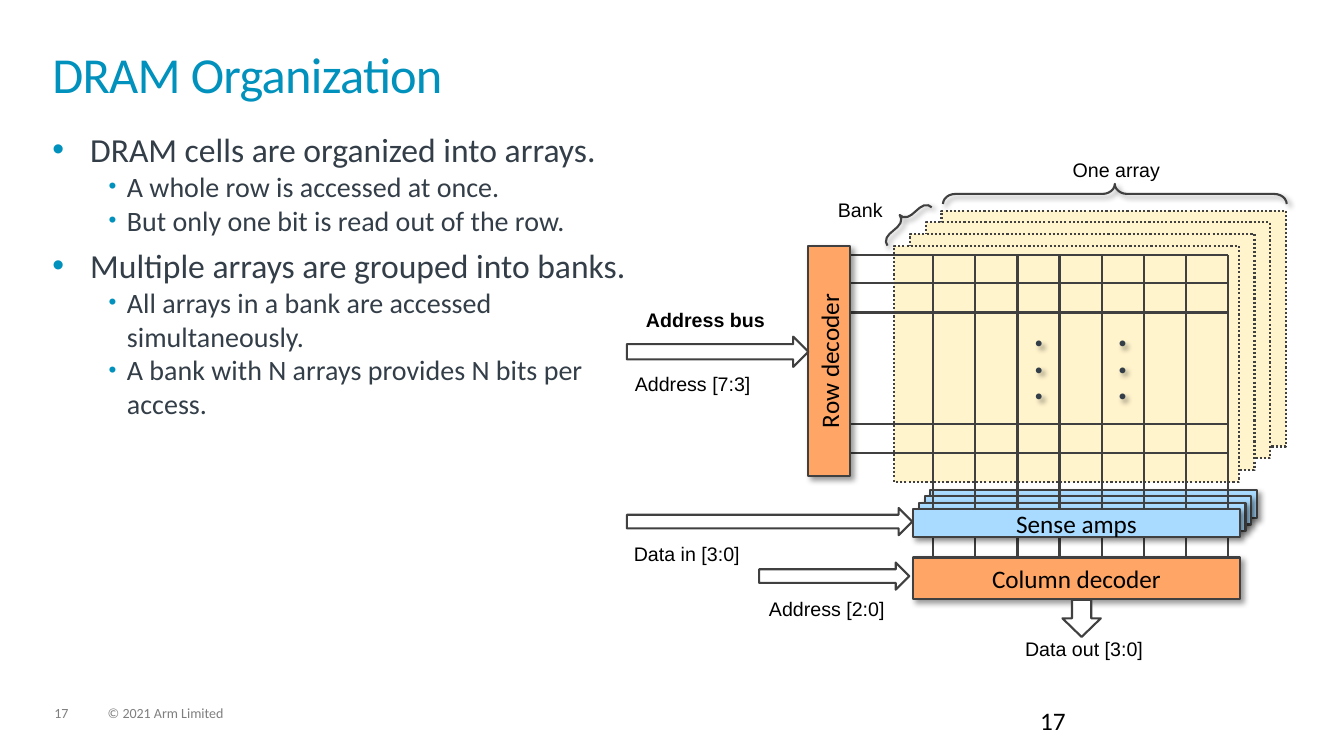
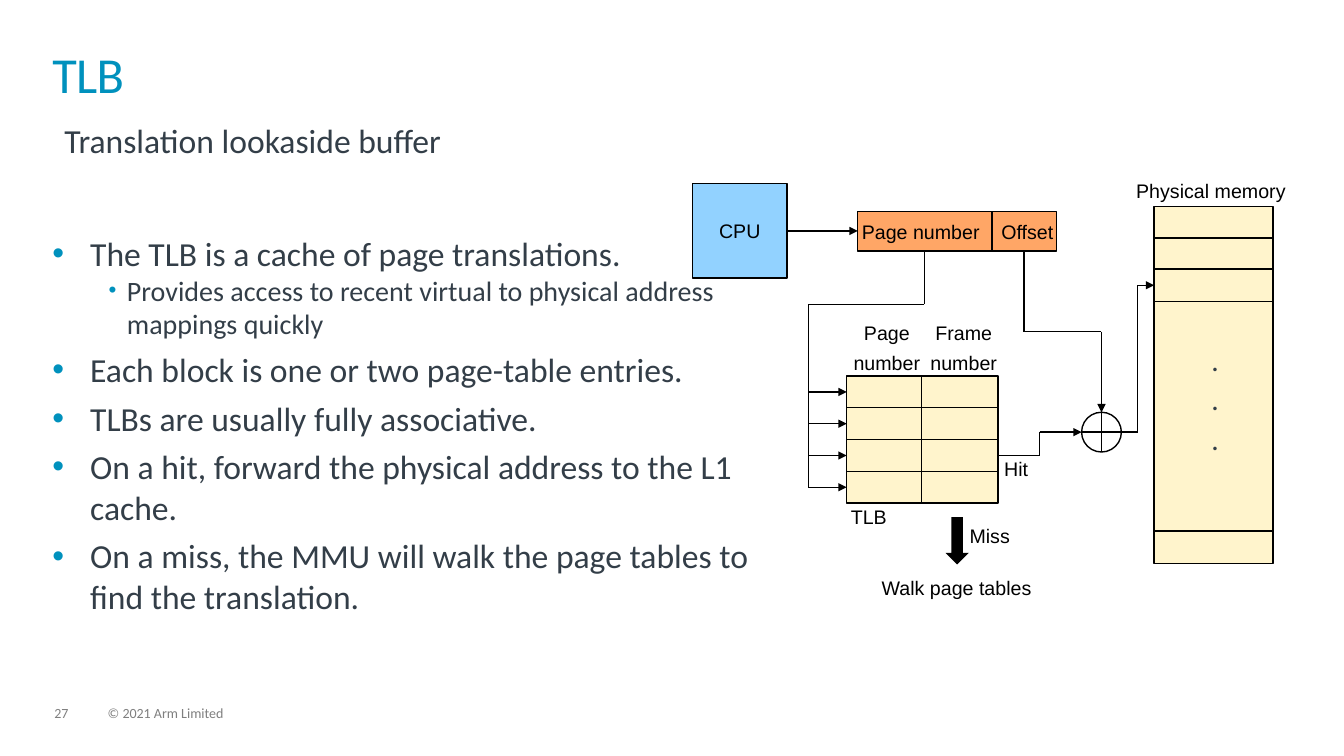
from typing import NamedTuple, Optional

from lxml.etree import SubElement
from pptx import Presentation
from pptx.dml.color import RGBColor
from pptx.enum.dml import MSO_LINE
from pptx.enum.shapes import MSO_CONNECTOR, MSO_SHAPE
from pptx.enum.text import MSO_ANCHOR, PP_ALIGN
from pptx.oxml.ns import qn
from pptx.util import Pt

# Shared colours and fonts
BLUE, INK, GREY = "0091BD", "333E48", "7F7F7F"
BLACK, WHITE, EDGE = "000000", "FFFFFF", "404040"
ORANGE, CREAM, SKY, PALE = "FFA666", "FFF4CC", "92D2FF", "A8DBFF"
SANS, PLAIN = "Calibri", "Arial"
INSET = (7.2, 3.6)
LEFT, MID = PP_ALIGN.LEFT, PP_ALIGN.CENTER


class Box(NamedTuple):
    x: float
    y: float
    w: float
    h: float

    def shift(self, dx: float, dy: float) -> "Box":
        return Box(self.x + dx, self.y + dy, self.w, self.h)

    def pts(self) -> list:
        return [Pt(v) for v in self]


class Label(NamedTuple):
    text: str
    box: Box
    align: PP_ALIGN = LEFT
    bold: bool = False


class Arrow(NamedTuple):
    kind: MSO_SHAPE
    box: Box
    fill: Optional[str] = None


class Point(NamedTuple):
    level: int
    text: str


# Helpers
def rgb(code: str) -> RGBColor:
    return RGBColor.from_string(code)


def shade(shape) -> None:
    """Add a soft shadow at the lower right."""
    shape.shadow.inherit = False
    effects = shape.element.spPr.find(qn("a:effectLst"))
    cast = SubElement(effects, qn("a:outerShdw"), blurRad=str(Pt(4)), dist=str(Pt(3)),
                      dir="2700000", algn="tl", rotWithShape="0")
    tint = SubElement(cast, qn("a:srgbClr"), val=BLACK)
    SubElement(tint, qn("a:alpha"), val="40000")


def bullet(para, level: int) -> None:
    props = para._p.get_or_add_pPr()
    left, hang = ((27, 27), (53.3, 13))[level]
    props.set("marL", str(Pt(left)))
    props.set("indent", str(-Pt(hang)))
    tint = SubElement(props, qn("a:buClr"))
    SubElement(tint, qn("a:srgbClr"), val=BLUE)
    if level:
        SubElement(props, qn("a:buSzPct"), val="80000")
    SubElement(props, qn("a:buFont"), typeface=PLAIN)
    SubElement(props, qn("a:buChar"), char="•")


def style(para, size: float, font: str = SANS, color: str = BLACK, bold: bool = False,
          align: PP_ALIGN = LEFT, space: Optional[float] = None, track: int = 0) -> None:
    para.alignment = align
    if space:
        para.line_spacing = space
    for run in para.runs:
        run.font.size, run.font.name = Pt(size), font
        run.font.bold = bold
        run.font.color.rgb = rgb(color)
        if track:
            run._r.get_or_add_rPr().set("spc", str(track))


def text(slide, box: Box, words: str, inset: tuple = (0, 0), wrap: bool = True,
         after: float = 0, **form):
    """Place text, one paragraph a line."""
    shape = slide.shapes.add_textbox(*box.pts())
    frame = shape.text_frame
    frame.word_wrap = wrap
    frame.margin_left = frame.margin_right = Pt(inset[0])
    frame.margin_top = frame.margin_bottom = Pt(inset[1])
    frame.text = words
    for para in frame.paragraphs:
        para.space_after = Pt(after)
        style(para, **form)
    return shape


def form(slide, kind: MSO_SHAPE, box: Box, fill: Optional[str] = None,
         line: Optional[str] = EDGE, width: float = 1.5, dash=None, cast: bool = False,
         words: str = "", size: float = 18, font: str = SANS, turn: bool = False):
    """Draw a preset shape, with centred words if given."""
    shape = slide.shapes.add_shape(kind, *box.pts())
    shape.shadow.inherit = False
    if fill:
        shape.fill.solid()
        shape.fill.fore_color.rgb = rgb(fill)
    else:
        shape.fill.background()
    if line:
        shape.line.color.rgb = rgb(line)
        shape.line.width = Pt(width)
        if dash:
            shape.line.dash_style = dash
    else:
        shape.line.fill.background()
    if cast:
        shade(shape)
    if words:
        frame = shape.text_frame
        frame.text, frame.word_wrap = words, False
        frame.vertical_anchor = MSO_ANCHOR.MIDDLE
        if turn:
            frame._txBody.bodyPr.set("vert", "vert270")
        style(frame.paragraphs[0], size, font, align=MID)
    return shape


def route(slide, *stops: tuple, color: str = BLACK, width: float = 1,
          head: bool = False) -> None:
    """Join the stops with straight lines; head puts an arrow on the last."""
    for start, end in zip(stops, stops[1:]):
        link = slide.shapes.add_connector(MSO_CONNECTOR.STRAIGHT, *map(Pt, start + end))
        link.line.color.rgb = rgb(color)
        link.line.width = Pt(width)
        SubElement(link.element.spPr, qn("a:effectLst"))
    if head:
        SubElement(link.line._get_or_add_ln(), qn("a:tailEnd"), type="triangle")


def brace(slide, box: Box, angle: float) -> None:
    shape = form(slide, MSO_SHAPE.LEFT_BRACE, box, cast=True)
    shape.adjustments[0] = 0.62
    shape.rotation = angle


def body(slide, box: Box, points: list) -> None:
    shape = text(slide, box, "\n".join(p.text for p in points), size=24, color=INK)
    for rank, (para, point) in enumerate(zip(shape.text_frame.paragraphs, points)):
        bullet(para, point.level)
        if point.level:
            style(para, 20, color=INK)
        elif rank:
            para.space_before = Pt(6)


def page(deck, title: str, number: str):
    """Start a slide with its title and footer."""
    slide = deck.slides.add_slide(deck.slide_layouts[6])
    for words, x, w in ((number, 38.9, 24.5), ("© 2021 Arm Limited", 77, 365)):
        text(slide, Box(x, 504.7, w, 10.8), words, size=10, color=GREY, space=0.9)
    text(slide, Box(37.4, 37.4, 884.2, 51.8), title, size=36, color=BLUE,
         space=0.85, track=-50)
    return slide


def dram(deck) -> None:
    slide = page(deck, "DRAM Organization", "17")
    body(slide, Box(37.4, 92.2, 416.9, 389.5), [
        Point(0, "DRAM cells are organized into arrays."),
        Point(1, "A whole row is accessed at once."),
        Point(1, "But only one bit is read out of the row."),
        Point(0, "Multiple arrays are grouped into banks."),
        Point(1, "All arrays in a bank are accessed simultaneously."),
        Point(1, "A bank with N arrays provides N bits per access."),
    ])
    text(slide, Box(735.8, 500.4, 223.9, 28.8), "17", inset=INSET, size=18)
    rect = MSO_SHAPE.RECTANGLE

    # Stacked arrays and sense amps, back to front
    form(slide, rect, Box(652.3, 398.2, 233.3, 29.5), ORANGE, cast=True,
         words="Column decoder")
    sheet, amp = Box(638.6, 175.7, 246.2, 168.5), Box(652.3, 363.6, 233.3, 20.2)
    for i in (3, 2, 1, 0):
        form(slide, rect, sheet.shift(11.3 * i, -8.4 * i), CREAM, dash=MSO_LINE.ROUND_DOT)
    for i in (3, 2, 1):
        form(slide, rect, amp.shift(4.1 * i, -4.56 * i), PALE, cast=True)

    # Bit lines and word lines
    for i in range(8):
        x = 666.7 + 30.04 * i
        route(slide, (x, 182.2), (x, 398.2), color=EDGE, width=1.5)
    for y in (182.2, 202.3, 223.2, 303.1, 323.3):
        route(slide, (607, y), (877, y), color=EDGE, width=1.5)
    form(slide, rect, Box(577.4, 175.7, 29.5, 164.2), ORANGE, cast=True,
         words="Row decoder", turn=True)
    form(slide, rect, amp, PALE, cast=True, words="Sense amps")
    for x in (738.4, 798.1):
        for i in range(3):
            dot = text(slide, Box(x, 223.6 + 18.7 * i, 7.9, 30.2), ".", wrap=False,
                       size=28, color=INK, bold=True, space=0.9)
            shade(dot)

    # Buses and labels
    right, down = MSO_SHAPE.RIGHT_ARROW, MSO_SHAPE.DOWN_ARROW
    for arrow in (
        Arrow(right, Box(447.8, 240.5, 129.6, 21.6)),
        Arrow(right, Box(447.8, 362.9, 203.8, 19.4), WHITE),
        Arrow(right, Box(542.2, 401.8, 107.3, 19.4)),
        Arrow(down, Box(758.9, 428.4, 27.4, 26.6), WHITE),
    ):
        form(slide, *arrow)
    for label in (
        Label("Address bus", Box(454.3, 216.7, 133.9, 24.5), bold=True),
        Label("Address [7:3]", Box(446.4, 262.1, 133.9, 24.5)),
        Label("Data in [3:0]", Box(445.7, 383.8, 133.9, 24.5)),
        Label("Address [2:0]", Box(542.2, 422.6, 110.2, 24.5)),
        Label("Data out [3:0]", Box(720, 451.4, 108.7, 24.5), MID),
        Label("One array", Box(748.8, 109.4, 97.2, 24.5), MID),
        Label("Bank", Box(565.9, 137.5, 97.2, 24.5), MID),
    ):
        text(slide, label.box, label.text, inset=INSET, size=14, font=PLAIN,
             align=label.align, bold=label.bold)
    brace(slide, Box(789.1, 15.8, 14.4, 245.5), 90)
    brace(slide, Box(640.8, 136.8, 10.8, 41.8), 49.1)


def tlb(deck) -> None:
    slide = page(deck, "TLB", "27")
    body(slide, Box(37.4, 166.3, 511.9, 316), [
        Point(0, "The TLB is a cache of page translations."),
        Point(1, "Provides access to recent virtual to physical address mappings quickly"),
        Point(0, "Each block is one or two page-table entries."),
        Point(0, "TLBs are usually fully associative."),
        Point(0, "On a hit, forward the physical address to the L1 cache."),
        Point(0, "On a miss, the MMU will walk the page tables to find the translation."),
    ])
    text(slide, Box(38.9, 82.1, 880.6, 27.4), "Translation lookaside buffer",
         inset=INSET, size=24, color=INK)
    rect, thin = MSO_SHAPE.RECTANGLE, {"line": BLACK, "width": 1}

    # Processor and virtual address
    form(slide, rect, Box(494.6, 131, 67.7, 67.7), SKY, words="CPU", size=14,
         font=PLAIN, **thin)
    form(slide, rect, Box(612.7, 151.2, 141.8, 28.1), ORANGE, **thin)
    route(slide, (708.5, 151.2), (708.5, 179.3))
    route(slide, (562.3, 165), (612.7, 165), head=True)

    # Adder
    form(slide, MSO_SHAPE.OVAL, Box(772.6, 294.5, 28.4, 28.4), **thin)
    route(slide, (786.8, 294.5), (786.8, 322.9))
    route(slide, (772.6, 308.7), (801, 308.7))

    # Physical memory
    form(slide, rect, Box(824.4, 147.6, 85, 254.9), CREAM, **thin)
    for y in (169.9, 192.2, 215.3, 379.4):
        route(slide, (824.4, y), (909.4, y))
    for i in range(3):
        text(slide, Box(865.4, 247 + 28.4 * i, 5, 23), ".", wrap=False, size=21,
             color=INK, space=0.9)

    # Buffer rows, each fed from the trunk
    top, high, trunk = 268.6, 22.7, 577.4
    mids = [top + high * (i + 0.5) for i in range(4)]
    for mid in mids:
        form(slide, rect, Box(604.8, mid - high / 2, 108, high), CREAM, **thin)
        route(slide, (trunk, mid), (604.8, mid), head=True)
    route(slide, (658.1, top), (658.1, top + 4 * high))
    route(slide, (660.2, 179.3), (660.2, 217.4), (trunk, 217.4), (trunk, mids[-1]))

    # Address paths
    route(slide, (731.5, 179.3), (731.5, 236.9), (786.8, 236.9), (786.8, 294.5), head=True)
    route(slide, (712.8, mids[2]), (742.7, mids[2]), (742.7, 308.7), (772.6, 308.7),
          head=True)
    route(slide, (801, 308.7), (812.7, 308.7), (812.7, 203.8), (824.4, 203.8), head=True)
    form(slide, MSO_SHAPE.DOWN_ARROW, Box(675.4, 369.4, 16.6, 33.8), BLACK, line=None)

    # Labels, each box a little wider than its words
    for label in (
        Label("Page number", Box(615.6, 159.1, 91, 15.1)),
        Label("Offset", Box(713.8, 159.1, 40, 15.1), MID),
        Label("Page\nnumber", Box(606.5, 231.1, 54, 36.7), MID),
        Label("Frame\nnumber", Box(661.4, 231.1, 54, 36.7), MID),
        Label("TLB", Box(604.6, 362.2, 32, 15.1), MID),
        Label("Hit", Box(713.8, 328.3, 24, 15.1), MID),
        Label("Miss", Box(689, 375.8, 36, 15.1), MID),
        Label("Physical memory", Box(805, 129.6, 120, 15.1), MID),
        Label("Walk page tables", Box(623.3, 413.3, 120, 15.1), MID),
    ):
        text(slide, label.box, label.text, after=6, size=14, font=PLAIN,
             align=label.align, space=0.9)


def main() -> None:
    deck = Presentation()
    deck.slide_width, deck.slide_height = Pt(960), Pt(540)
    dram(deck)
    tlb(deck)
    deck.save("out.pptx")


if __name__ == "__main__":
    main()
